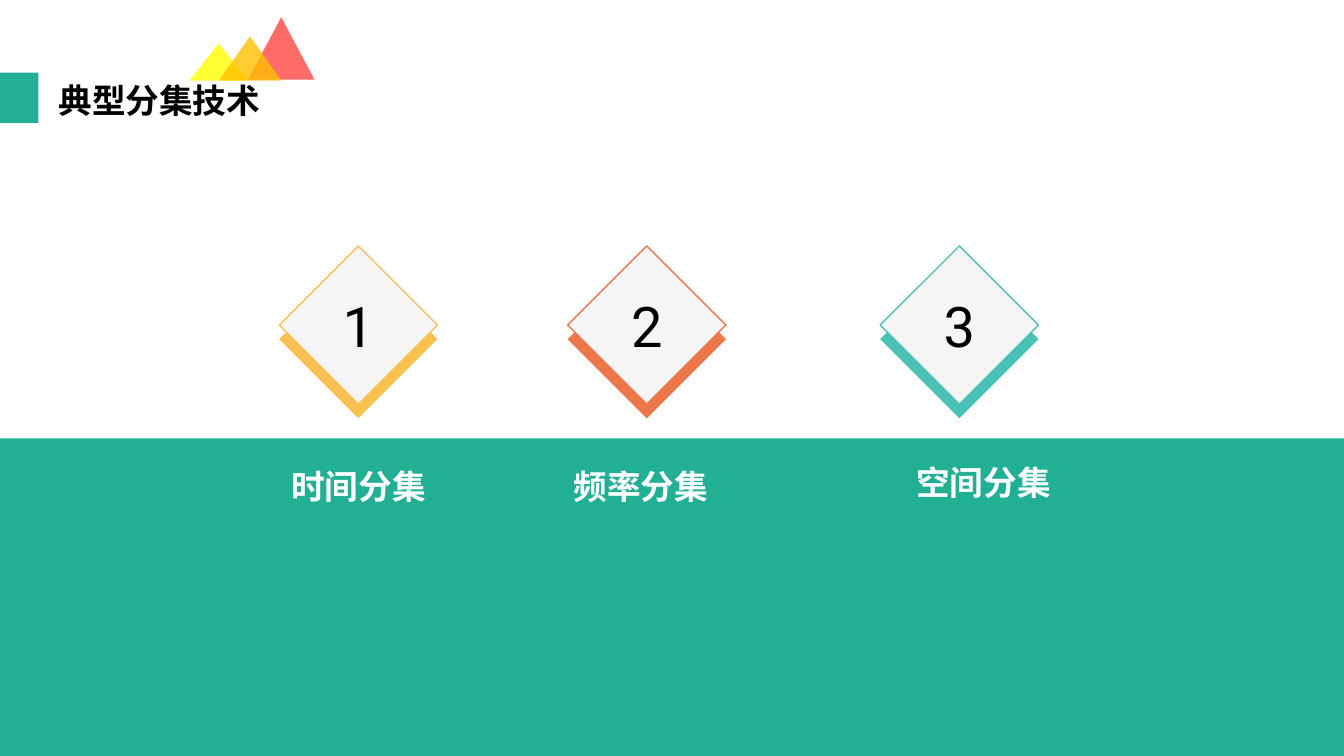
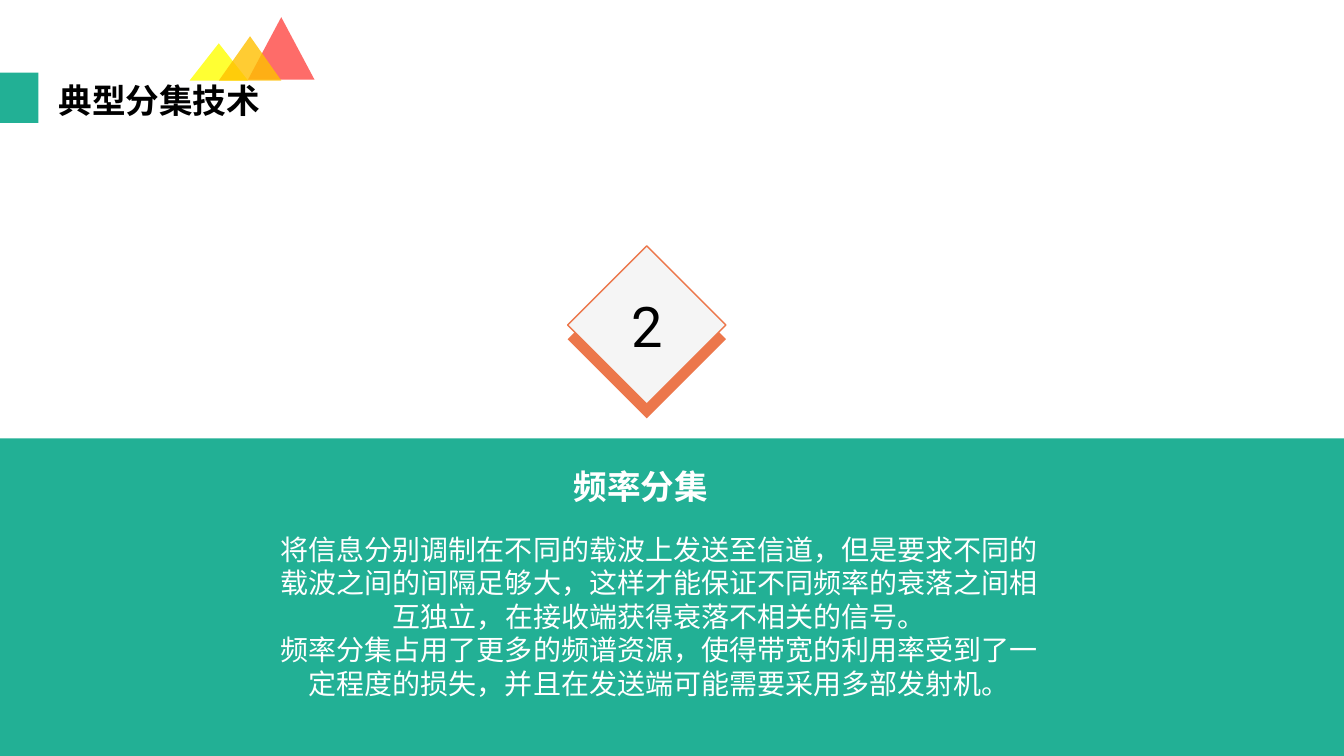
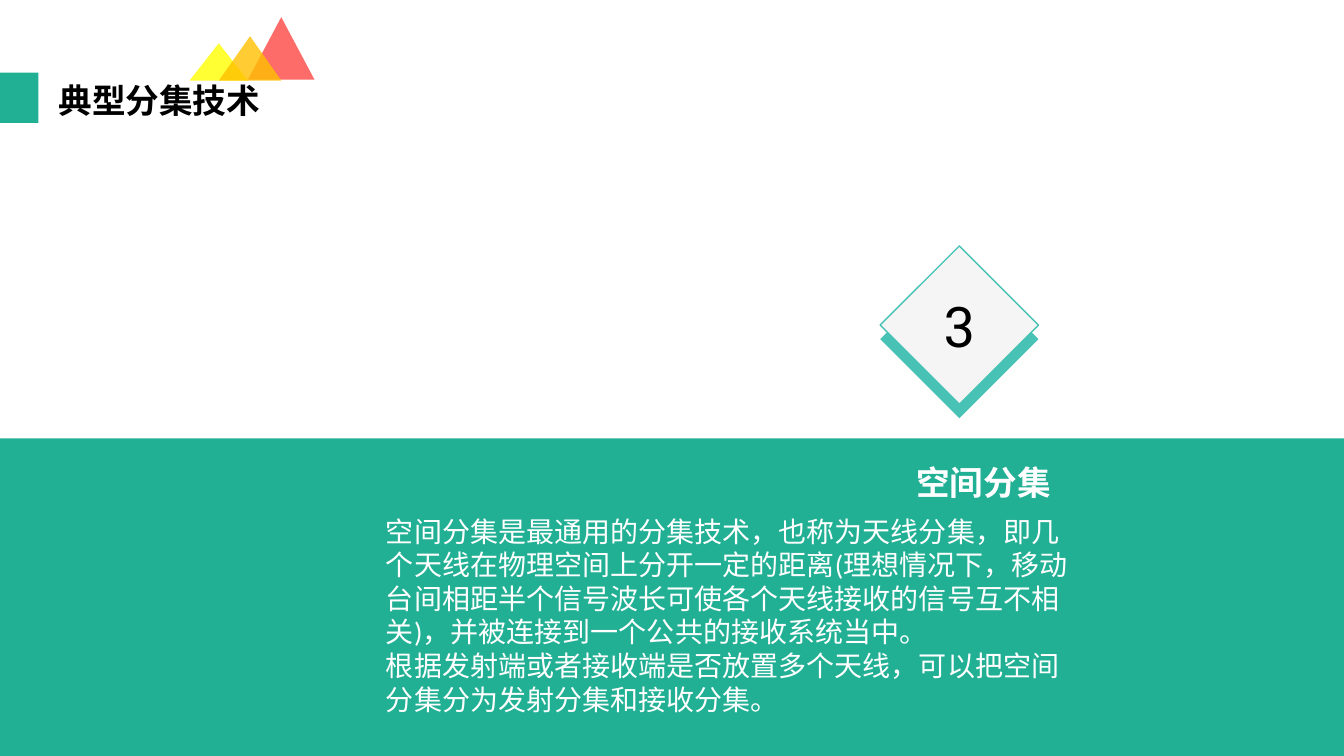
from dataclasses import dataclass

from pptx import Presentation
from pptx.dml.color import RGBColor
from pptx.enum.shapes import MSO_SHAPE
from pptx.enum.text import MSO_ANCHOR, MSO_AUTO_SIZE, PP_ALIGN
from pptx.oxml.ns import qn
from pptx.util import Pt

EMU_PER_PX = 9144
TITLE_ONLY = 5
RECTANGLE, DIAMOND, TRIANGLE = MSO_SHAPE.RECTANGLE, MSO_SHAPE.DIAMOND, MSO_SHAPE.ISOSCELES_TRIANGLE
TOP, MIDDLE = MSO_ANCHOR.TOP, MSO_ANCHOR.MIDDLE
LEFT, CENTER = PP_ALIGN.LEFT, PP_ALIGN.CENTER
FIXED, GROW = MSO_AUTO_SIZE.NONE, MSO_AUTO_SIZE.SHAPE_TO_FIT_TEXT


@dataclass(frozen=True)
class Theme:
    green: str = "22B095"
    red: str = "FE4844"
    yellow: str = "FFFF00"
    amber: str = "FFC000"
    face: str = "F5F5F5"
    white: str = "FFFFFF"
    black: str = "000000"
    east_asian: str = "Noto Sans CJK SC"
    body_font: str = "Calibri"
    number_font: str = "Roboto"
    heading_size: int = 24
    body_size: int = 20
    number_size: int = 40


@dataclass(frozen=True)
class Box:
    left: int
    top: int
    width: int
    height: int

    def inside(self, left, top, width, height):
        return Box(self.left + left, self.top + top, width, height)

    def emu(self):
        return [px * EMU_PER_PX for px in (self.left, self.top, self.width, self.height)]


@dataclass(frozen=True)
class Topic:
    number: str
    name: str
    color: str
    badge: Box
    label: Box


THEME = Theme()
PAGE = Box(0, 0, 1333, 750)
BAND = Box(0, 435, 1333, 315)
HEADER = Box(0, 17, 352, 132)
TITLE = "典型分集技术"
TIME = Topic("1", "时间分集", "F9C150", Box(277, 244, 157, 171), Box(279, 457, 155, 50))
FREQUENCY = Topic("2", "频率分集", "EC774B", Box(563, 244, 157, 171), Box(559, 457, 155, 50))
SPACE = Topic("3", "空间分集", "48C2B5", Box(873, 244, 157, 171), Box(899, 453, 155, 50))
FREQUENCY_TEXT = (
    "将信息分别调制在不同的载波上发送至信道，但是要求不同的载波之间的间隔足够大，"
    "这样才能保证不同频率的衰落之间相互独立，在接收端获得衰落不相关的信号。",
    "频率分集占用了更多的频谱资源，使得带宽的利用率受到了一定程度的损失，"
    "并且在发送端可能需要采用多部发射机。",
)
SPACE_TEXT = (
    "空间分集是最通用的分集技术，也称为天线分集，即几个天线在物理空间上分开一定的距离"
    "(理想情况下，移动台间相距半个信号波长可使各个天线接收的信号互不相关)，"
    "并被连接到一个公共的接收系统当中。",
    "根据发射端或者接收端是否放置多个天线，可以把空间分集分为发射分集和接收分集。",
)


def rgb(color):
    return RGBColor.from_string(color)


def add_filled(shapes, kind, box, color, outline=None, opacity=100):
    shape = shapes.add_shape(kind, *box.emu())
    shape.shadow.inherit = False
    shape.fill.solid()
    shape.fill.fore_color.rgb = rgb(color)
    if opacity < 100:
        for fill_color in shape.element.iter(qn("a:srgbClr")):
            alpha = fill_color.makeelement(qn("a:alpha"), {"val": str(opacity * 1000)})
            fill_color.append(alpha)
    if outline:
        shape.line.color.rgb = rgb(outline)
        shape.line.width = Pt(1)
    else:
        shape.line.fill.background()
    return shape


def write(shape, texts, size, color, font_name, bold=False, align=LEFT, spacing=None):
    frame = shape.text_frame
    frame.text = "\n".join(texts)
    for paragraph in frame.paragraphs:
        paragraph.alignment = align
        paragraph.line_spacing = spacing
        paragraph.font.size = Pt(size)
        paragraph.font.bold = bold
        paragraph.font.color.rgb = rgb(color)
        paragraph.font.name = font_name
    for latin in shape.element.iter(qn("a:latin")):
        latin.addnext(latin.makeelement(qn("a:ea"), {"typeface": THEME.east_asian}))


def add_header_art(slide, box):
    group = slide.shapes.add_group_shape()
    for color, place in (
        (THEME.red, (246, 0, 66, 62)),
        (THEME.yellow, (188, 26, 58, 37)),
        (THEME.amber, (217, 19, 62, 44)),
    ):
        add_filled(group.shapes, TRIANGLE, box.inside(*place), color, opacity=80)
    bar = add_filled(slide.shapes, RECTANGLE, box.inside(0, 55, 38, 50), THEME.green)
    return group, bar


def share_on_layout(layout, parts):
    for placeholder in list(layout.placeholders)[1:]:
        layout.shapes.element.remove(placeholder.element)
    for part in parts:
        layout.shapes.element.append(part.element)


def add_title(slide, box):
    title = slide.shapes.title
    title.left, title.top, title.width, title.height = box.inside(48, 62, 304, 70).emu()
    title.text_frame.vertical_anchor = TOP
    title.text_frame.auto_size = FIXED
    write(title, [TITLE], THEME.heading_size, THEME.black, THEME.east_asian,
          bold=True, spacing=0.9)


def add_badge(slide, topic):
    box = topic.badge
    depth = box.height - box.width
    group = slide.shapes.add_group_shape()
    add_filled(group.shapes, DIAMOND, box.inside(0, depth, box.width, box.width), topic.color)
    face = add_filled(group.shapes, DIAMOND, box.inside(0, 0, box.width, box.width),
                      THEME.face, outline=topic.color)
    face.text_frame.vertical_anchor = MIDDLE
    write(face, [topic.number], THEME.number_size, THEME.black, THEME.number_font, align=CENTER)


def add_text(slide, box, texts, size, font_name, wrap=True, **style):
    text_box = slide.shapes.add_textbox(*box.emu())
    text_box.text_frame.word_wrap = wrap
    text_box.text_frame.auto_size = GROW
    write(text_box, texts, size, THEME.white, font_name, **style)


def add_topic_slide(presentation, topics):
    slide = presentation.slides.add_slide(presentation.slide_layouts[TITLE_ONLY])
    add_title(slide, HEADER)
    add_filled(slide.shapes, RECTANGLE, BAND, THEME.green)
    for topic in topics:
        add_text(slide, topic.label, [topic.name], THEME.heading_size, THEME.east_asian,
                 wrap=False, bold=True)
        add_badge(slide, topic)
    return slide


def add_detail_slide(presentation, topic, box, texts, align):
    slide = add_topic_slide(presentation, [topic])
    add_text(slide, box, texts, THEME.body_size, THEME.body_font, align=align)


def main():
    presentation = Presentation()
    presentation.slide_width, presentation.slide_height = PAGE.emu()[2:]
    overview = add_topic_slide(presentation, [TIME, FREQUENCY, SPACE])
    share_on_layout(overview.slide_layout, add_header_art(overview, HEADER))
    add_detail_slide(presentation, FREQUENCY, Box(260, 523, 788, 178), FREQUENCY_TEXT, CENTER)
    add_detail_slide(presentation, SPACE, Box(373, 505, 699, 212), SPACE_TEXT, LEFT)
    presentation.save("out.pptx")


if __name__ == "__main__":
    main()
